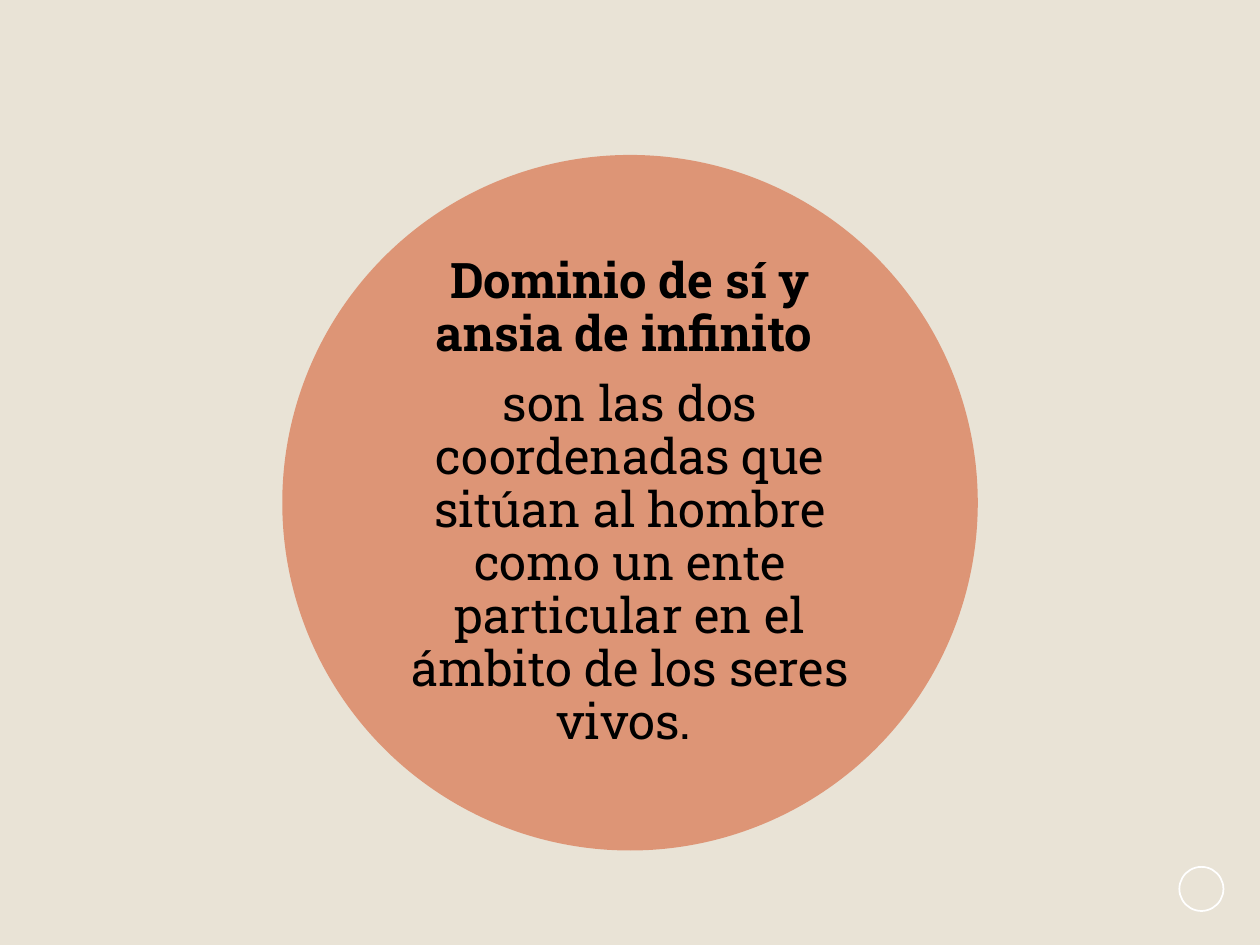
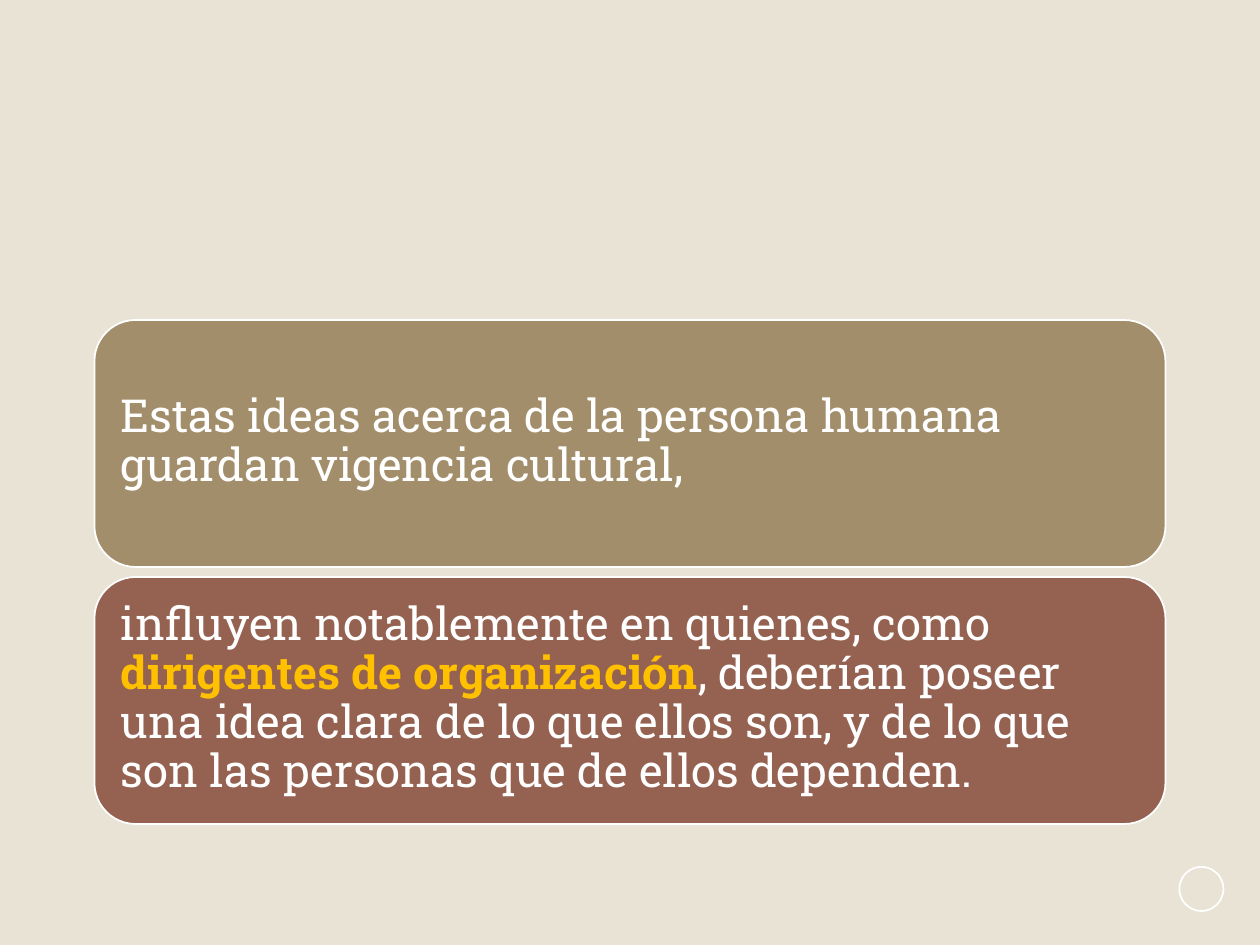
"""Builds two slides on the human person: a circle statement and two stacked panels."""
from lxml import etree
from pptx import Presentation
from pptx.dml.color import RGBColor
from pptx.enum.shapes import MSO_SHAPE as Shape
from pptx.enum.text import MSO_ANCHOR as Anchor, PP_ALIGN as Align
from pptx.oxml.ns import qn
from pptx.util import Inches, Pt

COLORS = {
    "background": "E9E3D6",
    "circle": "D34817",
    "sand": "A28E6A",
    "brick": "956251",
    "white": "FFFFFF",
    "black": "000000",
    "highlight": "FFC000",
}
FONT = "Roboto Slab"


def add_shape(page, kind, left, top, width, height, fill=None, line=None, alpha=None):
    shape = page.shapes.add_shape(kind, Inches(left), Inches(top), Inches(width), Inches(height))
    shape.shadow.inherit = False
    if fill:
        shape.fill.solid()
        shape.fill.fore_color.rgb = RGBColor.from_string(COLORS[fill])
    else:
        shape.fill.background()
    if alpha:
        color = shape.fill._xPr.find(qn("a:solidFill"))[0]
        etree.SubElement(color, qn("a:alpha"), val=str(alpha * 1000))
    if line:
        shape.line.color.rgb = RGBColor.from_string(COLORS[line])
        shape.line.width = Pt(1)
    else:
        shape.line.fill.background()


def add_text(page, paragraphs, left, top, width, height, size, inset=0, align=Align.LEFT, space_after=0):
    box = page.shapes.add_textbox(Inches(left), Inches(top), Inches(width), Inches(height))
    frame = box.text_frame
    frame.word_wrap = True
    frame.vertical_anchor = Anchor.MIDDLE
    frame.margin_left = frame.margin_right = Inches(inset)
    frame.margin_top = frame.margin_bottom = Inches(inset)
    for number, spans in enumerate(paragraphs):
        para = frame.add_paragraph() if number else frame.paragraphs[0]
        para.alignment = align
        para.line_spacing = 0.9
        para.space_after = Pt(space_after)
        for text, color, bold in spans:
            span = para.add_run()
            span.text = text
            span.font.name = FONT
            span.font.size = Pt(size)
            span.font.bold = bold
            span.font.color.rgb = RGBColor.from_string(COLORS[color])


deck = Presentation()
deck.slide_width, deck.slide_height = Inches(10), Inches(7.5)

pages = [deck.slides.add_slide(deck.slide_layouts[6]) for _ in range(2)]
for page in pages:
    page.background.fill.solid()
    page.background.fill.fore_color.rgb = RGBColor.from_string(COLORS["background"])
    add_shape(page, Shape.OVAL, 9.36, 6.88, 0.35, 0.35, line="white")
statement_page, panels_page = pages

add_shape(statement_page, Shape.OVAL, 2.24, 1.23, 5.52, 5.52, fill="circle", alpha=50)
statement = [
    [("Dominio de sí y ansia de infinito ", "black", True)],
    [("son las dos coordenadas que sitúan al hombre como un ente particular "
      "en el ámbito de los seres vivos. ", "black", False)],
]
add_text(statement_page, statement, 3.05, 2.04, 3.9, 3.9, size=28, align=Align.CENTER, space_after=10)

panels = [
    ("sand", [("Estas ideas acerca de la persona humana guardan vigencia cultural,", "white", False)]),
    ("brick", [
        ("influyen notablemente en quienes, como ", "white", False),
        ("dirigentes de organización", "highlight", True),
        (", deberían poseer una idea clara de lo que ellos son, y de lo que son "
         "las personas que de ellos dependen.", "white", False),
    ]),
]
for row, (fill, spans) in enumerate(panels):
    top = 2.54 + row * 2.04
    add_shape(panels_page, Shape.ROUNDED_RECTANGLE, 0.75, top, 8.5, 1.96, fill=fill, line="white")
    add_text(panels_page, [spans], 0.85, top + 0.09, 8.31, 1.76, size=26, inset=0.11)

deck.save("out.pptx")
